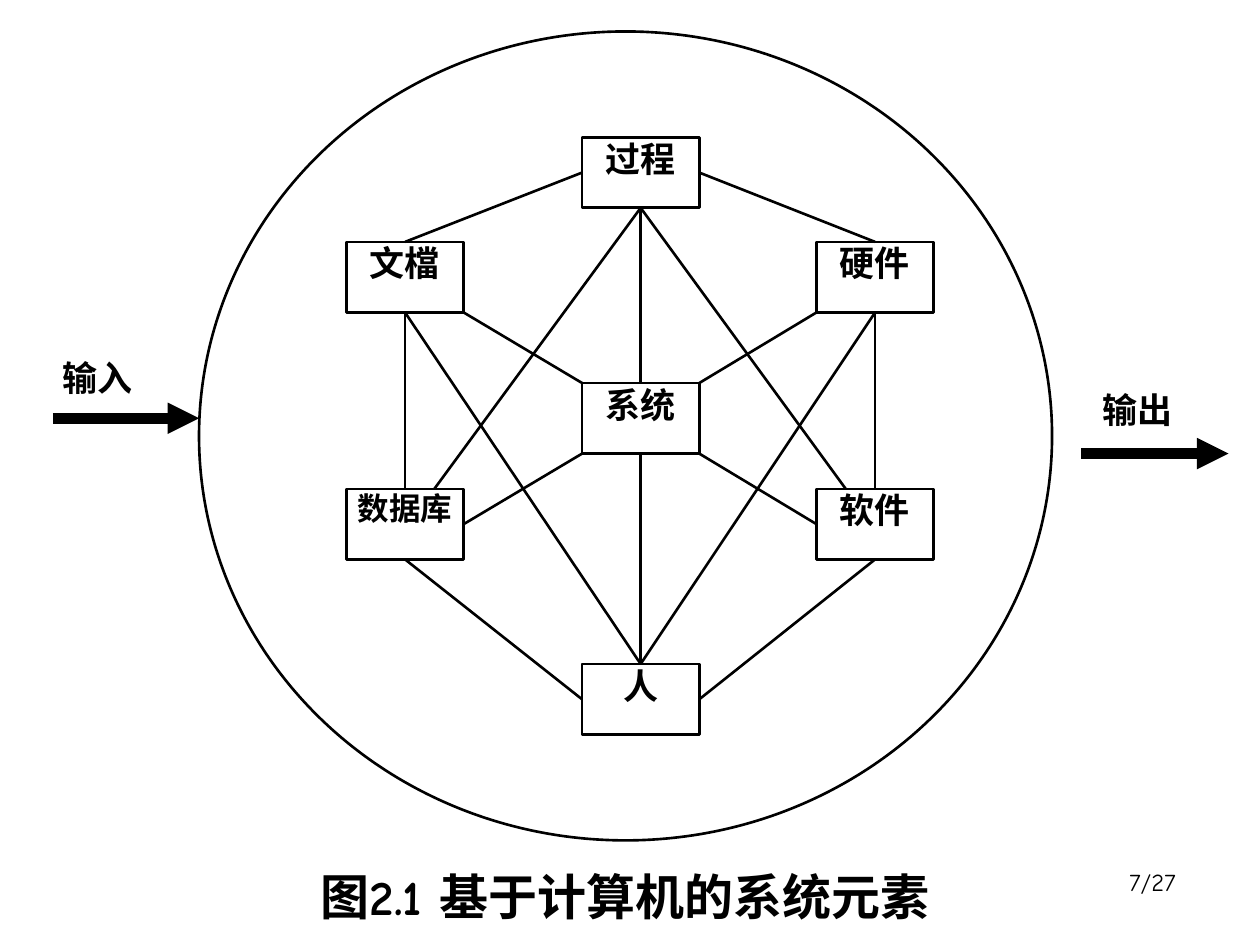
from lxml import etree
from pptx import Presentation
from pptx.dml.color import RGBColor
from pptx.enum import shapes, text
from pptx.oxml import ns
from pptx.util import Inches, Pt

BLACK = RGBColor(0, 0, 0)
WHITE = RGBColor(255, 255, 255)
FONT = "Comic Neue"
WIDE, HIGH = 0.93, 0.56
COLS = [1.17, 3.04, 4.9]
NODES = {
    "过程": (1, 0.84, 20),
    "文檔": (0, 1.67, 20),
    "数据库": (0, 3.63, 18),
    "系统": (1, 2.79, 20),
    "硬件": (2, 1.67, 20),
    "人": (1, 5.02, 20),
    "软件": (2, 3.63, 20),
}
TOP, LEFT, BASE, RIGHT = range(4)
LINKS = [
    ("文檔", TOP, "过程", LEFT),
    ("过程", RIGHT, "硬件", TOP),
    ("数据库", TOP, "文檔", BASE),
    ("数据库", BASE, "人", LEFT),
    ("人", RIGHT, "软件", BASE),
    ("软件", TOP, "硬件", BASE),
    ("数据库", (0.75, 0), "过程", BASE),
    ("过程", BASE, "软件", (0.25, 0)),
    ("系统", TOP, "过程", BASE),
    ("系统", BASE, "人", TOP),
    ("人", TOP, "硬件", BASE),
    ("人", TOP, "文檔", BASE),
    ("数据库", RIGHT, "系统", (0, 1)),
    ("系统", (1, 0), "硬件", (0, 1)),
    ("文檔", (1, 1), "系统", (0, 0)),
    ("系统", (1, 1), "软件", LEFT),
]


def write(shape, words, size, align, bold=True):
    """Put one styled line of text at the top of a shape."""
    frame = shape.text_frame
    frame.word_wrap = True
    frame.vertical_anchor = text.MSO_ANCHOR.TOP
    frame.text = words
    para = frame.paragraphs[0]
    para.alignment = align
    font = para.runs[0].font
    font.name, font.size, font.bold = FONT, Pt(size), bold
    font.color.rgb = BLACK


def draw(slide, kind, box, line=True):
    """Add a white shape, outlined in black if asked."""
    shape = slide.shapes.add_shape(kind, *map(Inches, box))
    shape.shadow.inherit = False
    shape.fill.solid()
    shape.fill.fore_color.rgb = WHITE
    if line:
        shape.line.color.rgb = BLACK
        shape.line.width = Pt(1.5)
    else:
        shape.line.fill.background()
    frame = shape.text_frame
    frame.margin_left = frame.margin_right = 0
    frame.margin_top = frame.margin_bottom = 0
    return shape


def stroke(slide, start, end, width=1.5):
    """Add a plain black straight line between two points."""
    line = slide.shapes.add_connector(shapes.MSO_CONNECTOR.STRAIGHT, *start, *end)
    line.line.color.rgb = BLACK
    line.line.width = Pt(width)
    etree.SubElement(line._element.spPr, ns.qn("a:effectLst"))
    return line


def spot(shape, part):
    """Find the point at a fraction of a shape's width and height."""
    return (shape.left + int(shape.width * part[0]),
            shape.top + int(shape.height * part[1]))


def link(slide, first, start, last, end):
    """Draw a line between two nodes, joined where it meets a side's middle."""
    mids = [(0.5, 0), (0, 0.5), (0.5, 1), (1, 0.5)]
    ends = [spot(node, mids[at] if isinstance(at, int) else at)
            for node, at in ((first, start), (last, end))]
    line = stroke(slide, *ends)
    if isinstance(start, int):
        line.begin_connect(first, start)
    if isinstance(end, int):
        line.end_connect(last, end)


def web(slide, left, top, width, height):
    """Draw the system's circle with its nodes and links."""
    draw(slide, shapes.MSO_SHAPE.OVAL, (left, top, width, height))
    nodes = {}
    for name, (col, down, size) in NODES.items():
        box = (left + COLS[col], top + down, WIDE, HIGH)
        nodes[name] = draw(slide, shapes.MSO_SHAPE.RECTANGLE, box)
        write(nodes[name], name, size, text.PP_ALIGN.CENTER)
    for first, start, last, end in LINKS:
        link(slide, nodes[first], start, nodes[last], end)


def flow(slide, words, left, top, width, dx, dy):
    """Draw a thick arrow with its label set off above it."""
    ends = [(Inches(x), Inches(top)) for x in (left, left + width)]
    arrow = stroke(slide, *ends, width=6)
    tail = etree.SubElement(arrow.line._get_or_add_ln(), ns.qn("a:tailEnd"))
    tail.set("type", "triangle")
    box = (left + dx, top - dy, 0.7, 0.34)
    label = draw(slide, shapes.MSO_SHAPE.RECTANGLE, box, line=False)
    write(label, words, 20, text.PP_ALIGN.LEFT)


def note(slide, words, box, size, align, bold):
    """Add a line of text below the diagram."""
    write(slide.shapes.add_textbox(*map(Inches, box)), words, size, align, bold)


def main():
    """Build the slide and save it."""
    deck = Presentation()
    deck.slide_width, deck.slide_height = Inches(10), Inches(7.5)
    slide = deck.slides.add_slide(deck.slide_layouts[6])
    note(slide, "图2.1 基于计算机的系统元素", (2, 6.83, 5.92, 0.5), 28,
         text.PP_ALIGN.CENTER, True)
    note(slide, "7/27", (7.35, 6.83, 2.08, 0.5), 14, text.PP_ALIGN.RIGHT, False)
    web(slide, 1.58, 0.25, 6.77, 6.42)
    flow(slide, "输入", 0.42, 3.32, 1.16, 0.08, 0.49)
    flow(slide, "输出", 8.58, 3.6, 1.17, 0.17, 0.52)
    deck.save("out.pptx")


if __name__ == "__main__":
    main()
